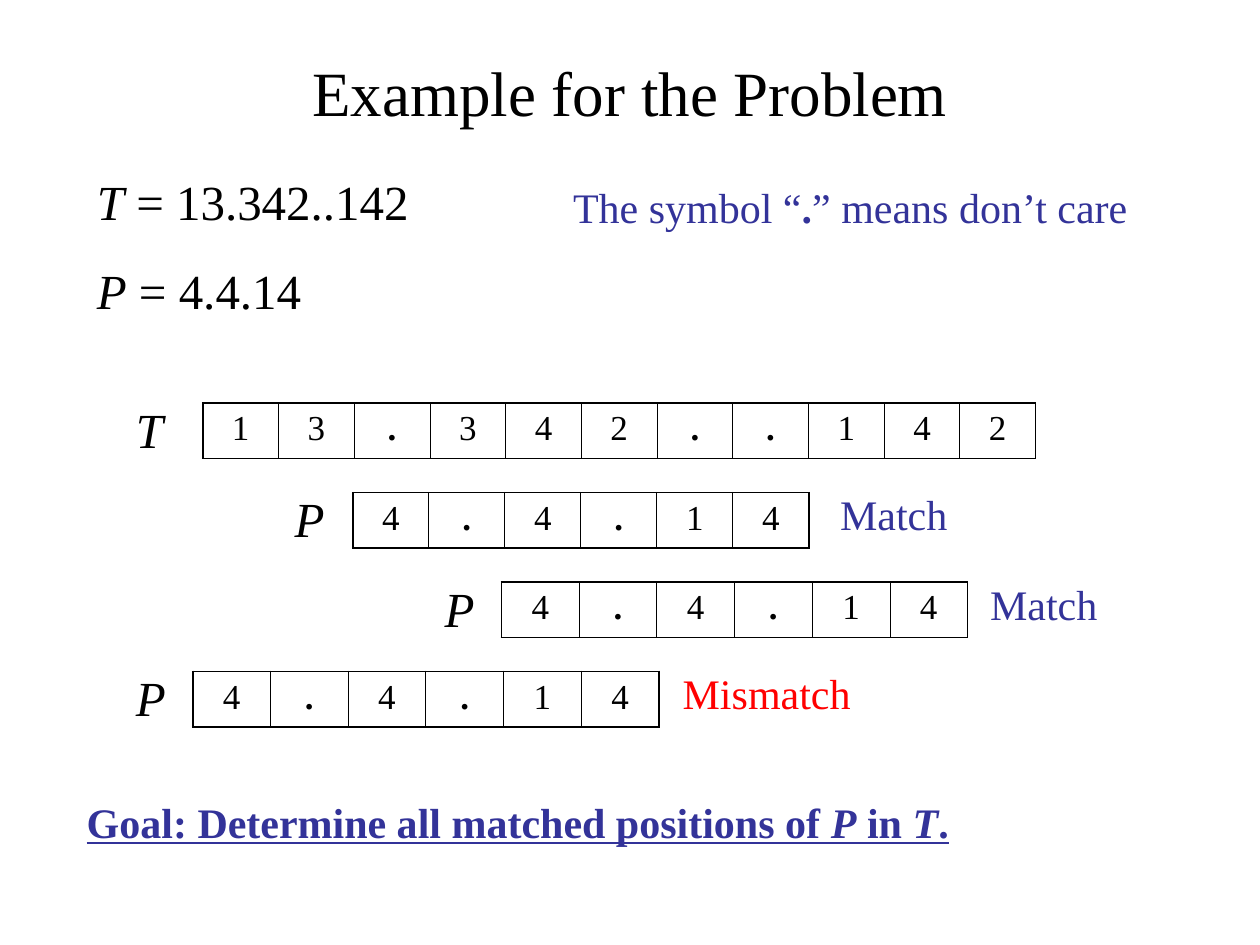
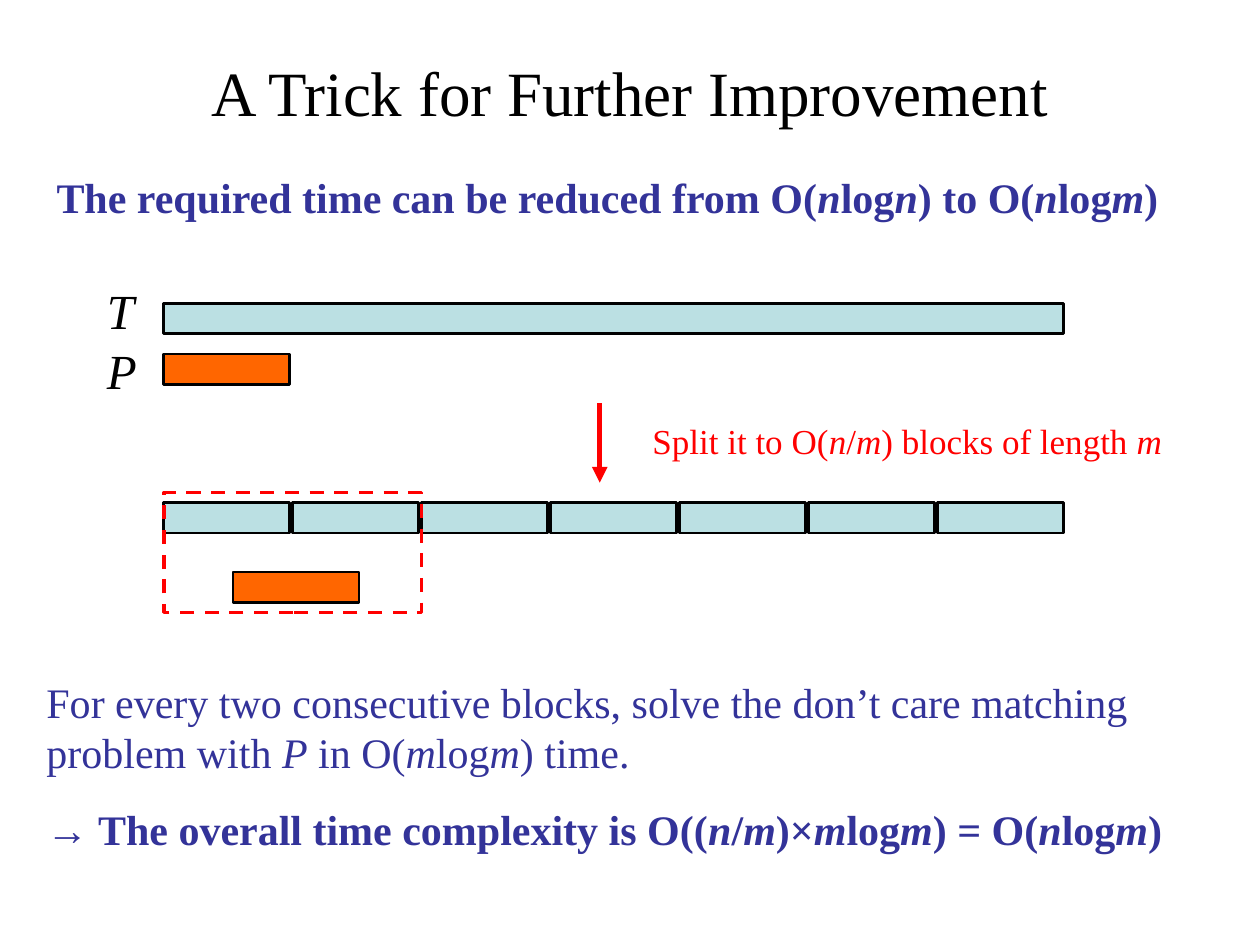
from lxml.etree import SubElement
from pptx import Presentation
from pptx.dml.color import RGBColor
from pptx.enum.dml import MSO_LINE
from pptx.enum.shapes import MSO_CONNECTOR, MSO_SHAPE
from pptx.enum.text import MSO_ANCHOR, MSO_AUTO_SIZE, PP_ALIGN
from pptx.oxml.ns import qn
from pptx.util import Inches, Pt

# Shared style
BLACK = RGBColor(0x00, 0x00, 0x00)
INDIGO = RGBColor(0x33, 0x33, 0x99)
RED = RGBColor(0xFF, 0x00, 0x00)
PALE_TEAL = RGBColor(0xBB, 0xE0, 0xE3)
ORANGE = RGBColor(0xFF, 0x66, 0x00)
SERIF = "Times New Roman"
SANS = "Arial"
TITLE_BOX = (0.5, 0.3, 9, 0.85)
LABEL_SIZE = (0.47, 0.57)
OUTER_EDGE, INNER_EDGE = 1.08, 0.45
BAR_HEIGHT = 0.24


def box(left, top, width, height):
    return [Inches(value) for value in (left, top, width, height)]


def add_runs(paragraph, marked, size, colour, bold=False, underline=False, font=SERIF):
    """Write marked text: _italic_ and *bold* switch on and off."""
    for bold_index, stretch in enumerate(marked.split("*")):
        for italic_index, words in enumerate(stretch.split("_")):
            if not words:
                continue
            run = paragraph.add_run()
            run.text = words
            run.font.name = font
            run.font.size = Pt(size)
            run.font.color.rgb = colour
            run.font.bold = bold or bold_index % 2 == 1
            run.font.italic = italic_index % 2 == 1
            run.font.underline = underline


def add_text(slide, place, lines, size, colour, **style):
    frame = slide.shapes.add_textbox(*box(*place)).text_frame
    frame.word_wrap = True
    for index, marked in enumerate(lines):
        paragraph = frame.add_paragraph() if index else frame.paragraphs[0]
        if index:
            paragraph.space_before = Pt(size * 0.625)
        add_runs(paragraph, marked, size, colour, **style)
    return frame


def add_label(slide, left, top, letter):
    add_text(slide, (left, top, *LABEL_SIZE), [f"_{letter}_"], 28, BLACK)


def add_titled_slide(deck, heading):
    slide = deck.slides.add_slide(deck.slide_layouts[5])
    title = slide.shapes.title
    title.left, title.top, title.width, title.height = box(*TITLE_BOX)
    frame = title.text_frame
    frame.auto_size = MSO_AUTO_SIZE.NONE
    frame.vertical_anchor = MSO_ANCHOR.MIDDLE
    frame.paragraphs[0].alignment = PP_ALIGN.CENTER
    add_runs(frame.paragraphs[0], heading, 36, BLACK)
    return slide


# Symbol strips
def set_borders(cell, is_first, is_last):
    edges = {
        "a:lnL": OUTER_EDGE if is_first else INNER_EDGE,
        "a:lnR": OUTER_EDGE if is_last else INNER_EDGE,
        "a:lnT": OUTER_EDGE,
        "a:lnB": OUTER_EDGE,
    }
    properties = cell._tc.get_or_add_tcPr()
    for index, (tag, weight) in enumerate(edges.items()):
        edge = SubElement(properties, qn(tag), w=str(Pt(weight)))
        fill = SubElement(edge, qn("a:solidFill"))
        SubElement(fill, qn("a:srgbClr"), val=str(BLACK))
        properties.insert(index, edge)


def add_symbol_strip(slide, left, top, width, symbols):
    count = len(symbols)
    strip = slide.shapes.add_table(1, count, *box(left, top, width, 0.44)).table
    strip.first_row = strip.horz_banding = False
    for index, symbol in enumerate(symbols):
        strip.columns[index].width = Inches(width / count)
        cell = strip.cell(0, index)
        cell.fill.background()
        set_borders(cell, index == 0, index == count - 1)
        paragraph = cell.text_frame.paragraphs[0]
        paragraph.alignment = PP_ALIGN.CENTER
        add_runs(paragraph, symbol, 20, BLACK, bold=symbol == ".")


def add_alignments(slide, top):
    """Text strip, then the pattern at three shifts with its verdict."""
    text, pattern = "13.342..142", "4.4.14"
    alignments = [
        # letter, label left, symbols, strip left, width, verdict, its left, colour
        ("T", 0.98, text, 1.61, 6.61, None, None, None),
        ("P", 2.24, pattern, 2.8, 3.62, "Match", 6.57, INDIGO),
        ("P", 3.43, pattern, 3.98, 3.7, "Match", 7.76, INDIGO),
        ("P", 0.98, pattern, 1.53, 3.7, "Mismatch", 5.32, RED),
    ]
    for row, (letter, label_left, symbols, left, width,
              verdict, verdict_left, colour) in enumerate(alignments):
        row_top = top + row * 0.71
        add_symbol_strip(slide, left, row_top, width, symbols)
        add_label(slide, label_left, row_top - 0.08, letter)
        if verdict:
            add_text(slide, (verdict_left, row_top - 0.08, 1.57, 0.5),
                     [verdict], 24, colour)


def build_example(deck):
    slide = add_titled_slide(deck, "Example for the Problem")
    add_text(slide, (0.67, 1.31, 3.62, 1.28),
             ["_T_ = 13.342..142", "_P_ = 4.4.14"], 28, BLACK)
    add_text(slide, (4.45, 1.39, 4.8, 0.5),
             ["The symbol “*.*” means don’t care"], 24, INDIGO)
    add_alignments(slide, 3.2)
    add_text(slide, (0.59, 6.27, 7.24, 0.5),
             ["Goal: Determine all matched positions of _P_ in _T_."],
             24, INDIGO, bold=True, underline=True)


# Block diagram
def add_bar(slide, left, top, width, height=BAR_HEIGHT, fill=None):
    bar = slide.shapes.add_shape(MSO_SHAPE.RECTANGLE, *box(left, top, width, height))
    bar.shadow.inherit = False
    if fill is None:
        bar.fill.background()
    else:
        bar.fill.solid()
        bar.fill.fore_color.rgb = fill
    bar.line.color.rgb = BLACK
    bar.line.width = Pt(1.5)
    return bar


def add_split_arrow(slide, x, top, bottom):
    arrow = slide.shapes.add_connector(
        MSO_CONNECTOR.STRAIGHT, Inches(x), Inches(top), Inches(x), Inches(bottom))
    arrow.line.color.rgb = RED
    arrow.line.width = Pt(3)
    SubElement(arrow.line._get_or_add_ln(), qn("a:tailEnd"), type="triangle")
    SubElement(arrow._element.spPr, qn("a:effectLst"))


def add_block_diagram(slide, left, top, width):
    block_count, block_width = 7, 1
    step = (width - block_width) / (block_count - 1)
    blocks_top = top + 1.58

    # Whole text and pattern
    add_bar(slide, left, top, width, fill=PALE_TEAL)
    add_bar(slide, left, top + 0.4, block_width, fill=ORANGE)
    add_label(slide, left - 0.55, top - 0.23, "T")
    add_label(slide, left - 0.55, top + 0.24, "P")

    # Splitting step
    add_split_arrow(slide, left + 3.46, top + 0.79, top + 1.42)
    add_text(slide, (left + 3.78, top + 0.87, 4.41, 0.44),
             ["Split it to O(_n_/_m_) blocks of length _m_"], 20, RED)

    # Blocks, with the pattern inside the first pair
    for block in range(block_count):
        add_bar(slide, left + block * step, blocks_top, block_width, fill=PALE_TEAL)
    add_bar(slide, left + 0.55, blocks_top + 0.55, block_width, fill=ORANGE)
    pair = add_bar(slide, left, blocks_top - 0.08, 2 * step, 0.95)
    pair.line.color.rgb = RED
    pair.line.width = Pt(2)
    pair.line.dash_style = MSO_LINE.DASH


def build_improvement(deck):
    slide = add_titled_slide(deck, "A Trick for Further Improvement")
    add_text(slide, (0.35, 1.31, 9.29, 0.5),
             ["The required time can be reduced from O(_n_log_n_) to O(_n_log_m_)"],
             24, INDIGO, bold=True)
    add_block_diagram(slide, 1.3, 2.41, 7.14)

    # Conclusion
    conclusion = add_text(
        slide, (0.27, 5.32, 9.45, 1.51),
        ["For every two consecutive blocks, solve the don’t care matching "
         "problem with _P_ in O(_m_log_m_) time.", ""], 24, INDIGO)
    overall = conclusion.paragraphs[1]
    add_runs(overall, "→", 24, INDIGO, bold=True, font=SANS)
    add_runs(overall, " The overall time complexity is "
             "O((_n_/_m_)×_m_log_m_) = O(_n_log_m_)", 24, INDIGO, bold=True)


def main():
    deck = Presentation()
    deck.slide_width, deck.slide_height = Inches(10), Inches(7.5)
    build_example(deck)
    build_improvement(deck)
    deck.save("out.pptx")


if __name__ == "__main__":
    main()
